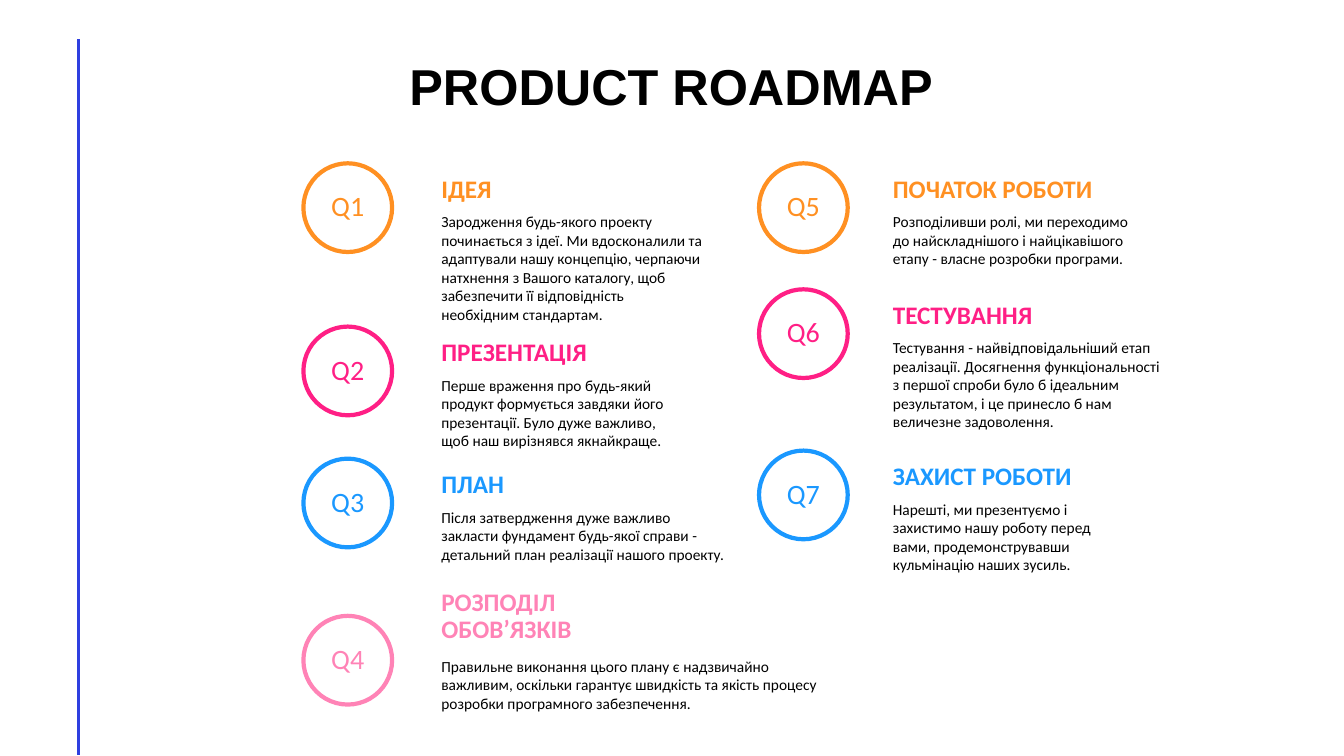
import dataclasses

import pptx
import pptx.dml.color
import pptx.enum.shapes
import pptx.enum.text
import pptx.oxml.ns
import pptx.util
from lxml import etree

RGBColor = pptx.dml.color.RGBColor
PP_ALIGN = pptx.enum.text.PP_ALIGN

BLACK = RGBColor(0x00, 0x00, 0x00)
WHITE = RGBColor(0xFF, 0xFF, 0xFF)
RULE_BLUE = RGBColor(0x2F, 0x3F, 0xE0)
ORANGE = RGBColor(0xFF, 0x90, 0x22)
MAGENTA = RGBColor(0xFF, 0x1F, 0x85)
BLUE = RGBColor(0x1A, 0x98, 0xFF)
PINK = RGBColor(0xFF, 0x83, 0xB6)

CELL = 0.1
COLUMNS, ROWS = 133.33, 75
BADGE = 8.8
BADGE_COLUMNS = (30.1, 75.3)
TEXT_COLUMNS = (42.8, 87.6)


@dataclasses.dataclass
class Step:
    """One quarter of the roadmap, measured in grid cells."""
    label: str
    side: int
    row: float
    colour: RGBColor
    heading: str
    body: str
    body_width: float
    body_height: float = 7.7
    heading_width: float = 25
    heading_height: float = 3.3
    heading_offset: float = 0.8
    body_offset: float = 4.4


STEPS = (
    Step("Q1", 0, 16.2, ORANGE, "ІДЕЯ",
         "Зародження будь-якого проекту починається з ідеї. Ми вдосконалили та "
         "адаптували нашу концепцію, черпаючи натхнення з Вашого каталогу, щоб "
         "забезпечити її відповідність необхідним стандартам.", 28, 11.6),
    Step("Q2", 0, 32.4, MAGENTA, "ПРЕЗЕНТАЦІЯ",
         "Перше враження про будь-який продукт формується завдяки його "
         "презентації. Було дуже важливо, щоб наш вирізнявся якнайкраще.",
         25, heading_width=28),
    Step("Q3", 0, 45.5, BLUE, "ПЛАН",
         "Після затвердження дуже важливо закласти фундамент будь-якої справи - "
         "детальний план реалізації нашого проекту.", 30.6),
    Step("Q4", 0, 61.1, PINK, "РОЗПОДІЛ ОБОВ’ЯЗКІВ",
         "Правильне виконання цього плану є надзвичайно важливим, оскільки "
         "гарантує швидкість та якість процесу розробки програмного "
         "забезпечення.", 41.3, heading_height=6, heading_offset=-3.1,
         body_offset=3.6),
    Step("Q5", 1, 16.2, ORANGE, "ПОЧАТОК РОБОТИ",
         "Розподіливши ролі, ми переходимо до найскладнішого і найцікавішого "
         "етапу - власне розробки програми.", 26.3, heading_width=26.3),
    Step("Q6", 1, 28.7, MAGENTA, "ТЕСТУВАННЯ",
         "Тестування - найвідповідальніший етап реалізації. Досягнення "
         "функціональності з першої спроби було б ідеальним результатом, і це "
         "принесло б нам величезне задоволення.", 28.5, 10.5),
    Step("Q7", 1, 44.7, BLUE, "ЗАХИСТ РОБОТИ",
         "Нарешті, ми презентуємо і захистимо нашу роботу перед вами, "
         "продемонструвавши кульмінацію наших зусиль.", 25),
)


def cells(*counts):
    """Turn counts of grid cells into lengths."""
    return [pptx.util.Inches(count * CELL) for count in counts]


def write(box, text, size, colour, font="Calibri", bold=False,
          align=PP_ALIGN.LEFT, spacing=0.9):
    """Put one styled paragraph into a shape."""
    box.text_frame.word_wrap = True
    para = box.text_frame.paragraphs[0]
    para.alignment = align
    para.line_spacing = spacing
    para.space_before = pptx.util.Pt(10)
    span = para.add_run()
    span.text = text
    span.font.name = font
    span.font.size = pptx.util.Pt(size)
    span.font.bold = bold
    span.font.color.rgb = colour


def add_text(page, place, text, size, colour, **style):
    """Add a text box at a place on the grid."""
    box = page.shapes.add_textbox(*cells(*place))
    write(box, text, size, colour, **style)


def add_rule(page):
    """Draw the vertical line along the left margin."""
    line = page.shapes.add_connector(
        pptx.enum.shapes.MSO_CONNECTOR.STRAIGHT, *cells(7.8, 3.9, 7.8, 74.9))
    line.line.color.rgb = RULE_BLUE
    line.line.width = pptx.util.Pt(2)
    etree.SubElement(line.element.spPr, pptx.oxml.ns.qn("a:effectLst"))


def add_badge(page, step):
    """Draw the ring that names the quarter."""
    ring = page.shapes.add_shape(
        pptx.enum.shapes.MSO_SHAPE.OVAL,
        *cells(BADGE_COLUMNS[step.side], step.row, BADGE, BADGE))
    ring.shadow.inherit = False
    ring.fill.background()
    ring.line.color.rgb = step.colour
    ring.line.width = pptx.util.Pt(3)
    ring.text_frame.vertical_anchor = pptx.enum.text.MSO_ANCHOR.MIDDLE
    write(ring, step.label, 20, step.colour, align=PP_ALIGN.CENTER)


def add_step(page, step):
    """Add a ring with its heading and description."""
    add_badge(page, step)
    left = TEXT_COLUMNS[step.side]
    add_text(page, (left, step.row + step.heading_offset,
                    step.heading_width, step.heading_height),
             step.heading, 18, step.colour, bold=True)
    add_text(page, (left, step.row + step.body_offset,
                    step.body_width, step.body_height),
             step.body, 11, BLACK, spacing=1.0)


def main():
    """Build and save the roadmap slide."""
    deck = pptx.Presentation()
    deck.slide_width, deck.slide_height = cells(COLUMNS, ROWS)
    page = deck.slides.add_slide(deck.slide_layouts[6])
    page.background.fill.solid()
    page.background.fill.fore_color.rgb = WHITE
    add_rule(page)
    add_text(page, (2.4, 5.7, 128.3, 10.5), " PRODUCT ROADMAP ", 36, BLACK,
             font="Arial", bold=True, align=PP_ALIGN.CENTER)
    for step in STEPS:
        add_step(page, step)
    deck.save("out.pptx")


if __name__ == "__main__":
    main()
